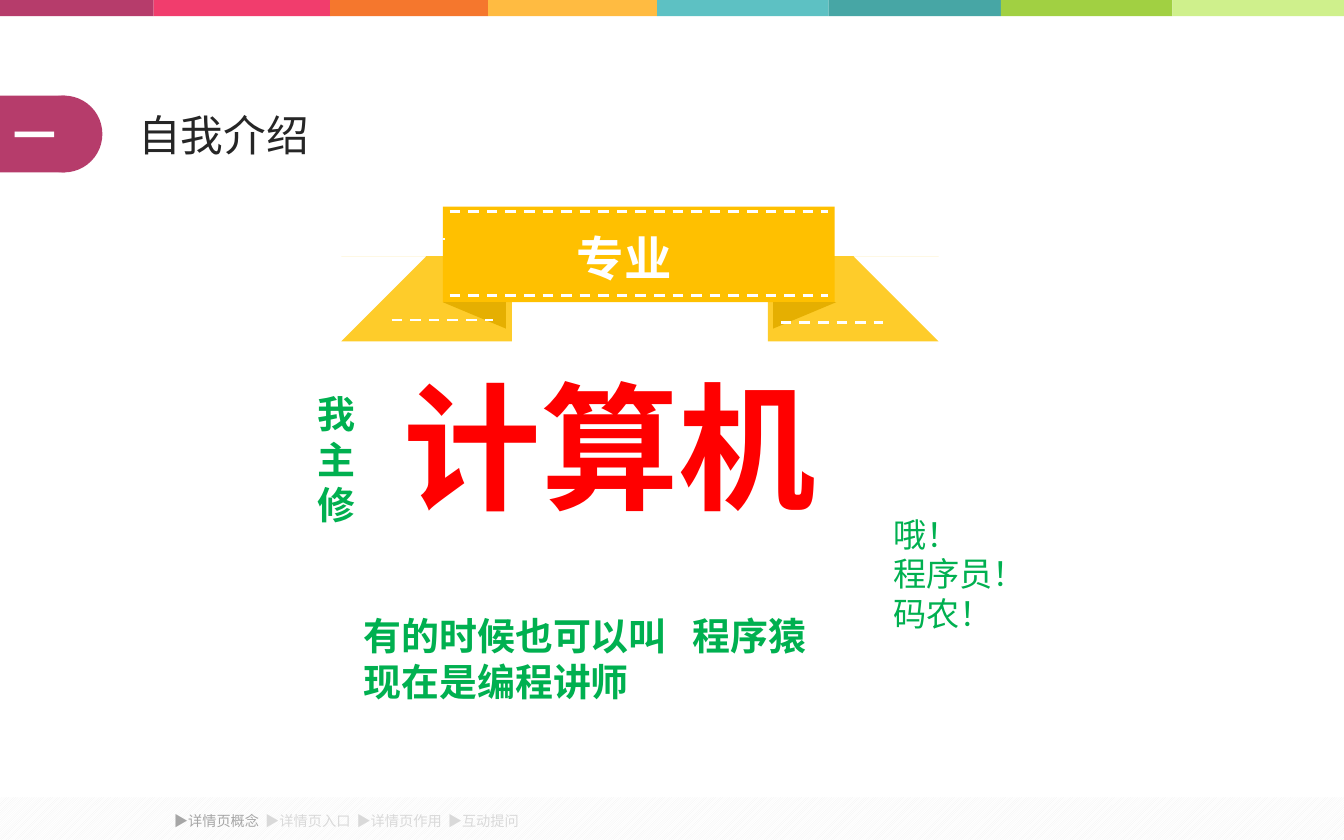
from dataclasses import dataclass
from lxml.etree import SubElement
from pptx import Presentation
from pptx.dml.color import RGBColor
from pptx.enum.dml import MSO_LINE, MSO_PATTERN
from pptx.enum.shapes import MSO_CONNECTOR, MSO_SHAPE
from pptx.enum.text import MSO_ANCHOR, PP_ALIGN
from pptx.oxml.ns import qn
from pptx.util import Inches, Pt


@dataclass(frozen=True)
class Theme:
    """Colours, font and type sizes of the slide."""
    font: str = "Noto Sans CJK SC"
    strip: tuple = ("B63C6B", "F13D6D", "F5772D", "FFBB41",
                    "5DC1C3", "47A6A5", "A1D042", "CFF08C")
    berry: str = "B63C6B"
    white: str = "FFFFFF"
    hatch: str = "F0F0F0"
    ink: str = "262626"
    current: str = "A6A6A6"
    muted: str = "D9D9D9"
    tail: str = "FECC2A"
    band: str = "FFC000"
    fold: str = "E5AF01"
    red: str = "FF0000"
    green: str = "00B050"
    tiny: int = 12
    remark: int = 28
    body: int = 32
    heading: int = 36
    label: int = 40
    giant: int = 116


@dataclass(frozen=True)
class Box:
    """A region in inches."""
    left: float
    top: float
    width: float
    height: float

    def inner(self, left, top, width, height):
        """Return a box placed relative to this one."""
        return Box(self.left + left, self.top + top, width, height)

    def lengths(self):
        """Return the four lengths for a shape."""
        return [Inches(value) for value in (self.left, self.top, self.width, self.height)]


THEME = Theme()


def apply_format(target, values):
    """Set each attribute in values on target."""
    for name, value in values.items():
        setattr(target, name, value)


def paint(shape, color):
    """Give a shape a flat fill without line or shadow."""
    shape.shadow.inherit = False
    shape.fill.solid()
    shape.fill.fore_color.rgb = RGBColor.from_string(color)
    shape.line.fill.background()
    return shape


def add_block(shapes, kind, box, color):
    """Add a flat preset shape."""
    return paint(shapes.add_shape(kind, *box.lengths()), color)


def add_run(paragraph, text, size, color, bold=False):
    """Add a formatted run to a paragraph."""
    run = paragraph.add_run()
    run.text = text
    apply_format(run.font, {"name": THEME.font, "size": Pt(size), "bold": bold})
    run.font.color.rgb = RGBColor.from_string(color)
    SubElement(run._r.get_or_add_rPr(), qn("a:ea"), typeface=THEME.font)


def add_tabs(paragraph, positions):
    """Set left tab stops, given in inches."""
    tab_list = SubElement(paragraph._p.get_or_add_pPr(), qn("a:tabLst"))
    for position in positions:
        SubElement(tab_list, qn("a:tab"), pos=str(Inches(position)), algn="l")


def write_lines(shape, lines, size, color, bold=False, align=PP_ALIGN.LEFT,
                anchor=MSO_ANCHOR.TOP, tabs=()):
    """Write one paragraph for each line."""
    frame = shape.text_frame
    apply_format(frame, {"word_wrap": True, "vertical_anchor": anchor})
    for index, line in enumerate(lines):
        paragraph = frame.add_paragraph() if index else frame.paragraphs[0]
        paragraph.alignment = align
        if "\t" in line:
            add_tabs(paragraph, tabs)
        add_run(paragraph, line, size, color, bold)


def add_text(slide, box, lines, size, color, **options):
    """Add a text box with the given lines."""
    write_lines(slide.shapes.add_textbox(*box.lengths()), lines, size, color, **options)


def add_strip(slide, box):
    """Add the coloured strip along the top edge."""
    edges = (0, 1.8, 3.87, 5.72, 7.7, 9.71, 11.73, 13.74, box.width)
    for color, start, end in zip(THEME.strip, edges, edges[1:]):
        add_block(slide.shapes, MSO_SHAPE.RECTANGLE,
                  box.inner(start, 0, end - start, box.height), color)


def add_footer(slide, box):
    """Add the hatched footer and its navigation."""
    bar = add_block(slide.shapes, MSO_SHAPE.RECTANGLE, box, THEME.white)
    bar.fill.patterned()
    bar.fill.pattern = MSO_PATTERN.DARK_UPWARD_DIAGONAL
    bar.fill.fore_color.rgb = RGBColor.from_string(THEME.hatch)
    bar.fill.back_color.rgb = RGBColor.from_string(THEME.white)
    navigation = slide.shapes.add_textbox(*box.inner(1.94, 0.13, 4.4, 0.3).lengths())
    navigation.text_frame.word_wrap = True
    paragraph = navigation.text_frame.paragraphs[0]
    add_tabs(paragraph, [1.07 * step for step in (1, 2, 3)])
    add_run(paragraph, "▶详情页概念", THEME.tiny, THEME.current)
    add_run(paragraph, "\t▶详情页入口\t▶详情页作用\t▶互动提问", THEME.tiny, THEME.muted)


def add_heading(slide, box):
    """Add the numbered badge and place the title."""
    badge = slide.shapes.add_group_shape().shapes
    add_block(badge, MSO_SHAPE.OVAL, box.inner(0.3, 0, 0.9, 0.9), THEME.berry)
    number = add_block(badge, MSO_SHAPE.RECTANGLE, box.inner(0, 0, 0.76, 0.9), THEME.berry)
    write_lines(number, ["一"], THEME.heading, THEME.white, bold=True,
                align=PP_ALIGN.RIGHT, anchor=MSO_ANCHOR.MIDDLE)
    title = slide.shapes.title
    places = box.inner(1.52, 0.1, 10.48, 0.71).lengths()
    apply_format(title, dict(zip(("left", "top", "width", "height"), places)))
    write_lines(title, ["自我介绍"], THEME.heading, THEME.ink)


def add_tail(shapes, box, mirrored):
    """Add a notched ribbon tail on the left or, mirrored, on the right."""
    outline = [(1.56, 0.31), (0, 0.31), (0.73, 0.86), (0, 1.43), (1.56, 1.43)]
    points = [(box.left + (box.width - x if mirrored else x), box.top + y) for x, y in outline]
    builder = shapes.build_freeform(*points[0], scale=Inches(1))
    builder.add_line_segments(points[1:], close=True)
    paint(builder.convert_to_shape(), THEME.tail)


def add_stitch(shapes, box, start, end, height):
    """Add a dashed white line across part of the ribbon."""
    level = Inches(box.top + height)
    stitch = shapes.add_connector(MSO_CONNECTOR.STRAIGHT, Inches(box.left + start), level,
                                  Inches(box.left + end), level)
    stitch.line.color.rgb = RGBColor.from_string(THEME.white)
    apply_format(stitch.line, {"width": Pt(2.25), "dash_style": MSO_LINE.DASH})
    SubElement(stitch._element.spPr, qn("a:effectLst"))


def add_ribbon(slide, box):
    """Add the stitched ribbon with its label."""
    shapes = slide.shapes.add_group_shape().shapes
    for mirrored in (False, True):
        add_tail(shapes, box, mirrored)
    add_block(shapes, MSO_SHAPE.RECTANGLE, box.inner(0.82, 0, 4.59, 1.12), THEME.band)
    for left, flips in ((4.69, ("flipV",)), (0.82, ("flipH", "flipV"))):
        fold = add_block(shapes, MSO_SHAPE.RIGHT_TRIANGLE,
                         box.inner(left, 1.12, 0.74, 0.31), THEME.fold)
        for flip in flips:
            fold._element.spPr.xfrm.set(flip, "1")
    for stitch in ((0.9, 5.33, 1.04), (0.9, 5.33, 0.06), (0.17, 0.85, 0.38),
                   (0.22, 1.41, 1.33), (4.78, 5.98, 1.36), (5.42, 6.11, 0.38)):
        add_stitch(shapes, box, *stitch)
    add_text(slide, box.inner(2.29, 0.21, 2.11, 0.77), ["专业"],
             THEME.label, THEME.white, bold=True)


def add_message(slide, box):
    """Add the subject and the remarks around it."""
    add_text(slide, box.inner(0, 0, 7.06, 2.05), ["计算机"], THEME.giant, THEME.red,
             bold=True, align=PP_ALIGN.CENTER)
    add_text(slide, box.inner(0, 0.34, 0.75, 1.72), ["我", "主", "修"],
             THEME.body, THEME.green, bold=True)
    add_text(slide, box.inner(0.54, 2.94, 6.31, 1.18),
             ["有的时候也可以叫\t程序猿", "现在是编程讲师"],
             THEME.body, THEME.green, bold=True, tabs=[3.86])
    add_text(slide, box.inner(6.75, 1.78, 1.9, 1.51), ["哦！", "程序员！", "码农！"],
             THEME.remark, THEME.green)


def main():
    """Build and save the presentation."""
    presentation = Presentation()
    apply_format(presentation, {"slide_width": Inches(15.75), "slide_height": Inches(9.84)})
    slide = presentation.slides.add_slide(presentation.slide_layouts[5])
    add_strip(slide, Box(0, -0.02, 15.75, 0.21))
    add_footer(slide, Box(0, 9.34, 15.75, 0.5))
    add_heading(slide, Box(0, 1.12, 12, 0.9))
    add_ribbon(slide, Box(4.37, 2.42, 6.25, 1.44))
    add_message(slide, Box(3.62, 4.19, 8.65, 4.12))
    presentation.save("out.pptx")


if __name__ == "__main__":
    main()
